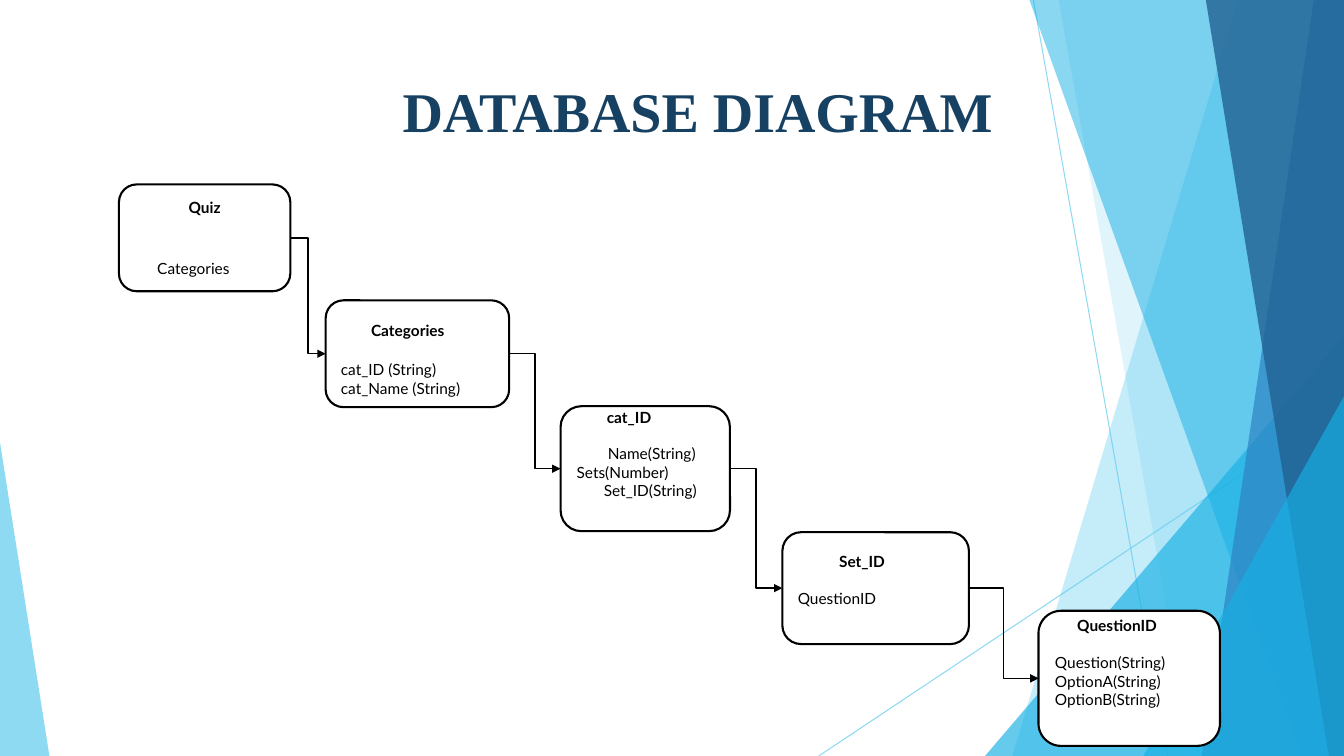
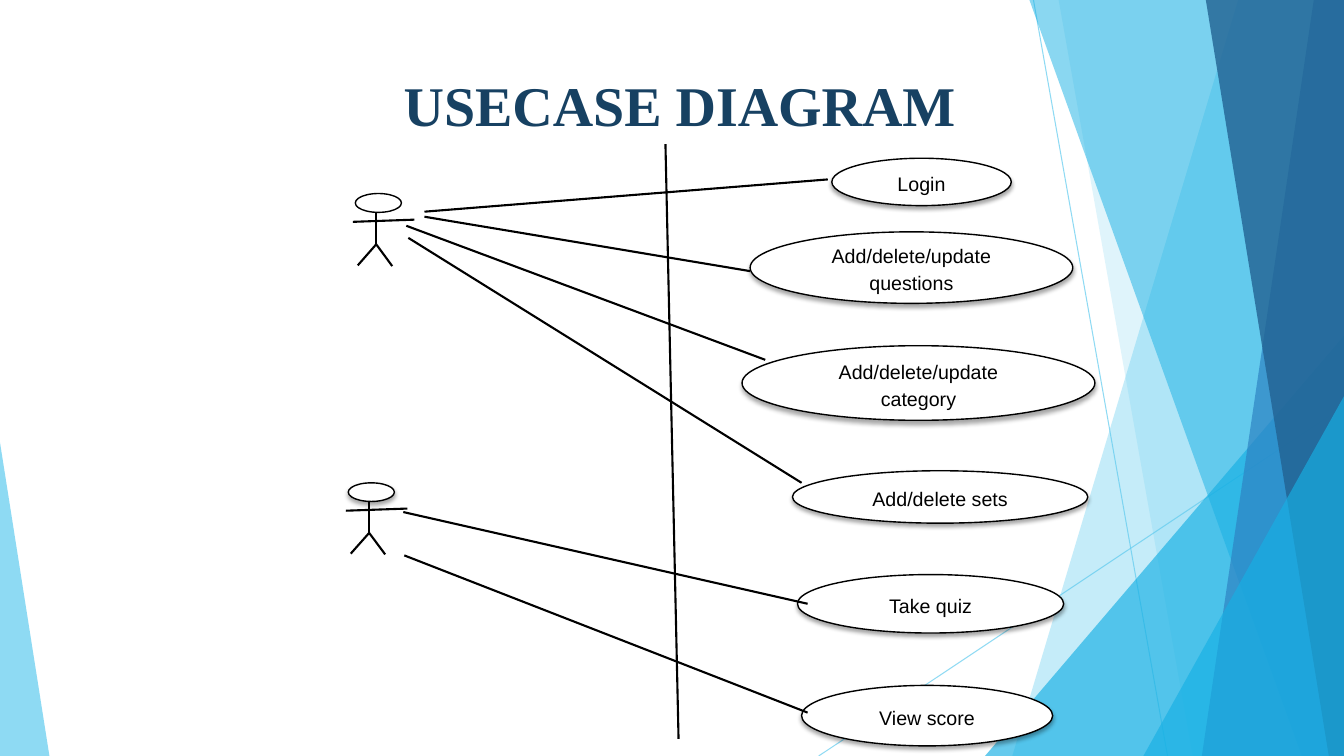
from itertools import pairwise

from pptx import Presentation
from pptx.dml.color import RGBColor as RGB
from pptx.enum.shapes import MSO_CONNECTOR as CONN, MSO_SHAPE as SHAPE
from pptx.enum.text import MSO_ANCHOR as ANCHOR, PP_ALIGN as ALIGN
from pptx.oxml.ns import qn
from pptx.oxml.xmlchemy import OxmlElement
from pptx.util import Inches, Pt

COLS, ROWS = 13.33, 7.5
CELL = Inches(1)
COLORS = {
    "ink": "000000",
    "paper": "FFFFFF",
    "title": "174162",
    "sky": "5FCBEF",
    "cyan": "17B0E4",
    "blue": "2E83C3",
    "navy": "226292",
}
TITLE_FONT, ENTITY_FONT, CASE_FONT = "Times New Roman", "Lato", "Arial"


def color(name):
    return RGB.from_string(COLORS[name])


def cells(*values):
    return [round(v * CELL) for v in values]


def child(parent, tag, **attrs):
    el = OxmlElement(tag)
    for key, value in attrs.items():
        el.set(key, str(value))
    parent.append(el)
    return el


def fade(sp, percent):
    for clr in sp.element.spPr.iter(qn("a:srgbClr")):
        child(clr, "a:alpha", val=percent * 1000)


def paint(sp, fill, line=None, width=1):
    sp.shadow.inherit = False
    sp.fill.solid()
    sp.fill.fore_color.rgb = color(fill)
    if line:
        sp.line.color.rgb = color(line)
        sp.line.width = Pt(width)
    else:
        sp.line.fill.background()
    return sp


def cast_shadow(sp):
    effects = sp.element.spPr.find(qn("a:effectLst"))
    shadow = child(effects, "a:outerShdw", blurRad=Pt(3), dist=Pt(2),
                   dir=90 * 60000, algn="ctr", rotWithShape=0)
    clr = child(shadow, "a:srgbClr", val=COLORS["ink"])
    child(clr, "a:alpha", val=35000)


def shape(s, kind, box, fill="paper", line="ink", width=1):
    return paint(s.shapes.add_shape(kind, *cells(*box)), fill, line, width)


def connect(s, start, end, kind=CONN.STRAIGHT, name="ink", width=1.5):
    c = s.shapes.add_connector(kind, *cells(*start, *end))
    c.line.color.rgb = color(name)
    c.line.width = Pt(width)
    child(c.element.spPr, "a:effectLst")
    return c


def add_run(p, text, font, size, name="ink", bold=False):
    r = p.add_run()
    r.text = text
    r.font.name, r.font.size, r.font.bold = font, Pt(size), bold
    r.font.color.rgb = color(name)


def corner(s, box, width, height, name, alpha, apex=1):
    x, y, w, h = box
    left = x + (w - width) * apex
    sp = shape(s, SHAPE.ISOSCELES_TRIANGLE,
               (left, y + h - height, width, height), name, None)
    sp.adjustments[0] = apex
    fade(sp, alpha)


def band(s, box, top, bottom, name, alpha):
    x, y, w, h = box
    right, base = x + w, y + h
    outline = [(right - top, y), (right, y), (right, base), (right - bottom, base)]
    points = [cells(*pt) for pt in outline]
    fb = s.shapes.build_freeform(*points[0], scale=1.0)
    fb.add_line_segments(points[1:], close=True)
    fade(paint(fb.convert_to_shape(), name), alpha)


def scenery(s, box):
    x, y, w, h = box
    right = x + w
    for start, end in [((3.08, 0), (1.75, h)), ((0, 4.03), (5.21, h))]:
        c = connect(s, (right - start[0], y + start[1]),
                    (right - end[0], y + end[1]), name="sky", width=0.75)
        fade(c, 70)
    for top, bottom, name, alpha in [(1.05, 3.29, "sky", 36), (2.83, 1.5, "sky", 20)]:
        band(s, box, top, bottom, name, alpha)
    corner(s, box, 3.56, 4.17, "cyan", 66)
    for top, bottom, name, alpha in [(3.12, 0.42, "cyan", 50),
                                     (0.3, 1.41, "blue", 70),
                                     (1.37, 0.15, "navy", 80)]:
        band(s, box, top, bottom, name, alpha)
    corner(s, box, 1.99, 3.57, "cyan", 66)
    corner(s, box, 0.49, 3.11, "sky", 70, apex=0)


def title(s, text, box):
    tf = s.shapes.add_textbox(*cells(*box)).text_frame
    tf.word_wrap = True
    p = tf.paragraphs[0]
    p.alignment = ALIGN.CENTER
    add_run(p, text, TITLE_FONT, 40, "title", True)


def entity(s, box, lift, gap, head, fields):
    sp = shape(s, SHAPE.ROUNDED_RECTANGLE, box, width=1.5)
    tf = sp.text_frame
    tf.word_wrap = True
    tf.vertical_anchor = ANCHOR.MIDDLE
    tf.margin_top, tf.margin_bottom = cells(0.05 + max(-lift, 0), 0.05 + max(lift, 0))
    for i, (text, indent) in enumerate([head, *fields]):
        p = tf.add_paragraph() if i else tf.paragraphs[0]
        p.alignment = ALIGN.CENTER if indent is None else ALIGN.LEFT
        if indent:
            p._p.get_or_add_pPr().set("marL", str(Inches(indent)))
        if i == 1:
            p.space_before = Pt(gap)
        add_run(p, text, ENTITY_FONT, 11, bold=i == 0)
    return sp


def link(s, source, target):
    c = connect(s, (0, 0), (1, 1), CONN.ELBOW, width=1)
    c.begin_connect(source, 3)
    c.end_connect(target, 1)
    child(c.line._get_or_add_ln(), "a:tailEnd", type="triangle")


def actor(s, box, shaded):
    x, y, w, h = box

    def at(px, py):
        return x + px * w, y + py * h

    head = shape(s, SHAPE.OVAL, (*at(0.04, 0), 0.75 * w, 0.26 * h))
    if shaded:
        cast_shadow(head)
    hip = (0.38, 0.7)
    for start, end in [((0.38, 0.26), hip), ((0, 0.39), (1, 0.36)),
                       (hip, (0.08, 0.99)), (hip, (0.64, 1))]:
        connect(s, at(*start), at(*end))


def use_case(s, box, text):
    sp = shape(s, SHAPE.OVAL, box)
    cast_shadow(sp)
    tf = sp.text_frame
    tf.word_wrap = True
    tf.vertical_anchor = ANCHOR.MIDDLE
    p = tf.paragraphs[0]
    p.alignment = ALIGN.CENTER
    p.line_spacing = 1.15
    add_run(p, text, CASE_FONT, 14)


def new_slide(prs, text, title_box):
    s = prs.slides.add_slide(prs.slide_layouts[6])
    scenery(s, (0, 0, COLS, ROWS))
    title(s, text, title_box)
    return s


def database_slide(prs):
    s = new_slide(prs, "DATABASE DIAGRAM", (2.22, 0.71, 9.4, 1.44))
    entities = [
        ((1.18, 1.83, 1.7, 1.06), 0, 31, ("Quiz", None), [("Categories", 0.23)]),
        ((3.23, 2.98, 1.82, 1.06), -0.11, 15, ("Categories", 0.3),
         [("cat_ID (String)", 0), ("cat_Name (String)", 0)]),
        ((5.56, 4.03, 1.68, 1.24), 0.29, 12.5, ("cat_ID", 0.3),
         [("Name(String)", 0.31), ("Sets(Number)", 0), ("Set_ID(String)", 0.27)]),
        ((7.76, 5.28, 1.85, 1.11), 0.17, 13, ("Set_ID", 0.41), [("QuestionID", 0)]),
        ((10.3, 6.06, 1.8, 1.34), 0.31, 13, ("QuestionID", 0.22),
         [("Question(String)", 0), ("OptionA(String)", 0), ("OptionB(String)", 0)]),
    ]
    chain = [entity(s, *e) for e in entities]
    for source, target in pairwise(chain):
        link(s, source, target)


def usecase_slide(prs):
    s = new_slide(prs, "USECASE DIAGRAM", (2.04, 0.65, 9.4, 1.44))
    actor(s, (3.5, 1.92, 0.61, 0.72), False)
    actor(s, (3.43, 4.79, 0.61, 0.71), True)
    connect(s, (6.6, 1.43), (6.73, 7.33))
    cases = [
        ((8.25, 1.57, 1.78, 0.47), "Login", (4.21, 2.1), (8.21, 1.78)),
        ((7.44, 2.3, 3.2, 0.71), "Add/delete/update questions", (4.21, 2.15), (7.44, 2.69)),
        ((7.36, 3.43, 3.5, 0.74), "Add/delete/update category", (4.03, 2.24), (7.59, 3.57)),
        ((7.86, 4.67, 2.93, 0.52), "Add/delete sets", (4.05, 2.36), (7.95, 4.79)),
        ((7.91, 5.7, 2.64, 0.58), "Take quiz", (4, 5.08), (8.01, 5.99)),
        ((7.95, 6.8, 2.49, 0.6), "View score", (4.01, 5.51), (8.01, 7.07)),
    ]
    for box, text, start, end in cases:
        use_case(s, box, text)
        connect(s, start, end)


def main():
    prs = Presentation()
    prs.slide_width, prs.slide_height = cells(COLS, ROWS)
    database_slide(prs)
    usecase_slide(prs)
    prs.save("out.pptx")


if __name__ == "__main__":
    main()
